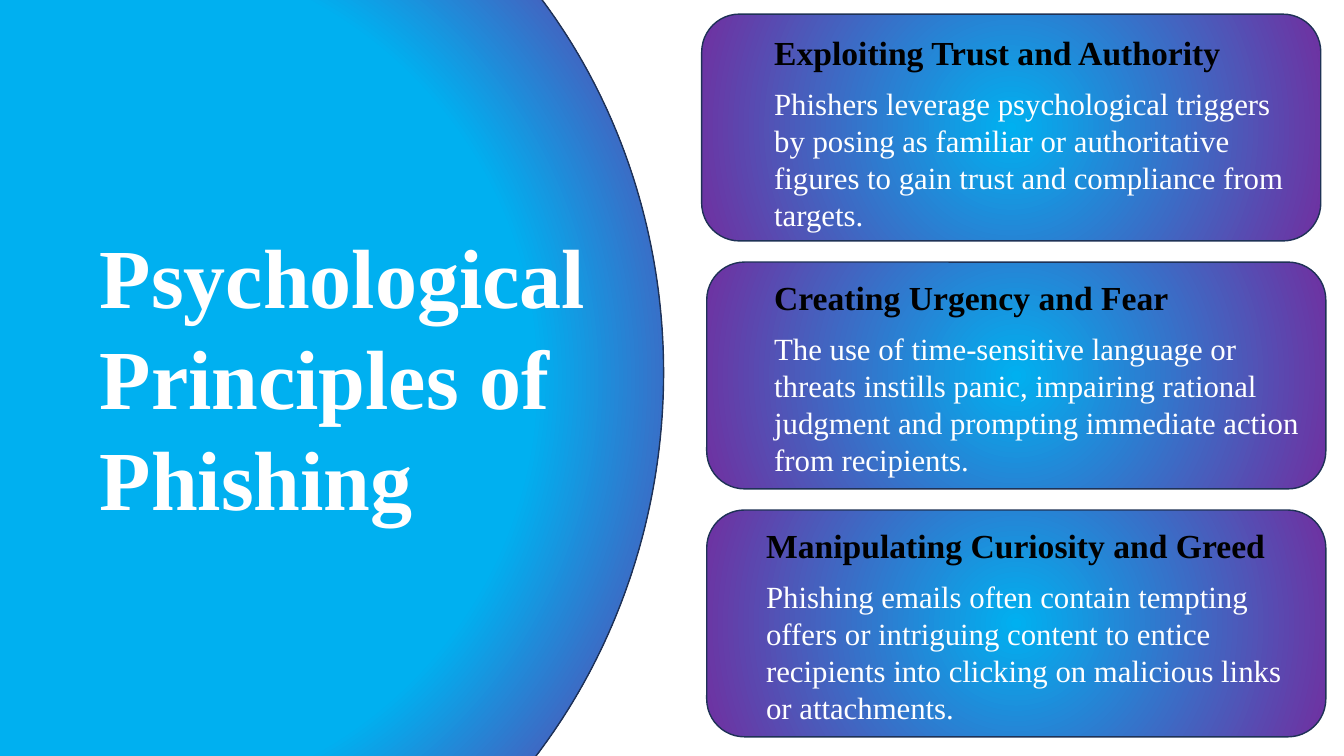
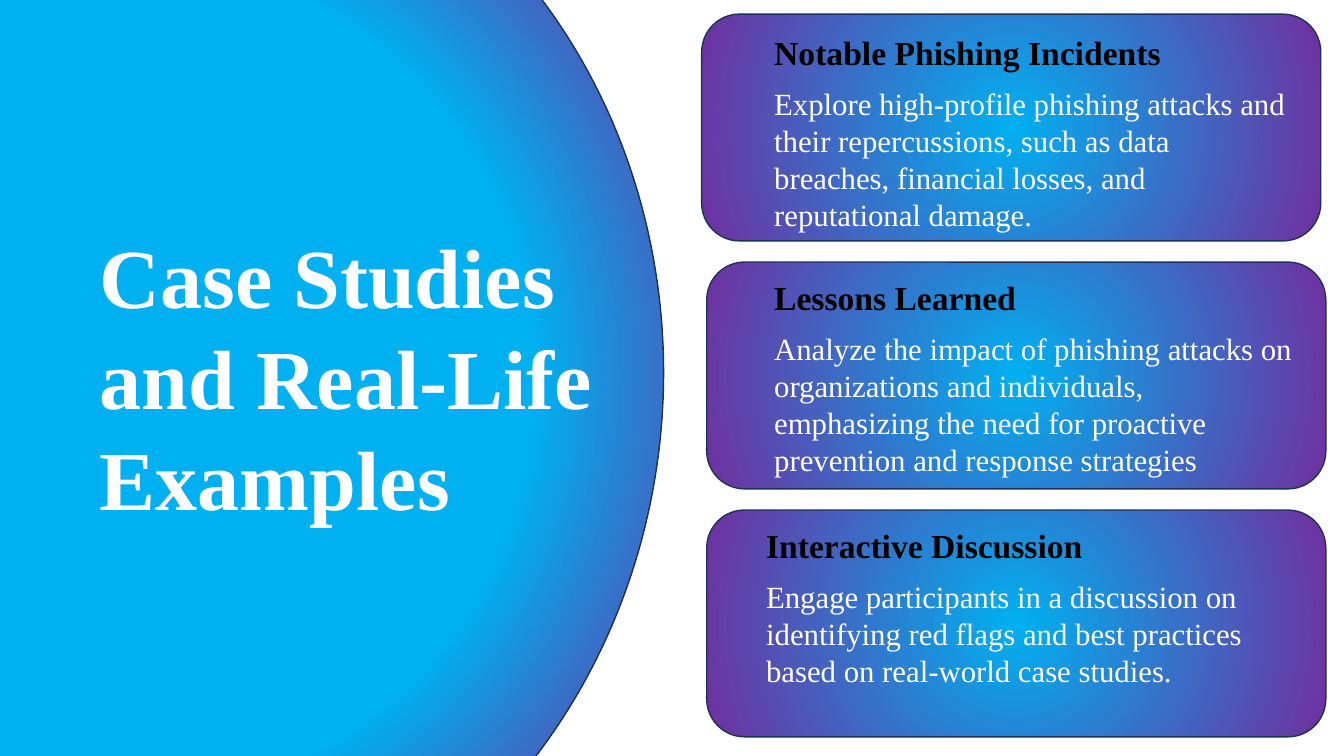
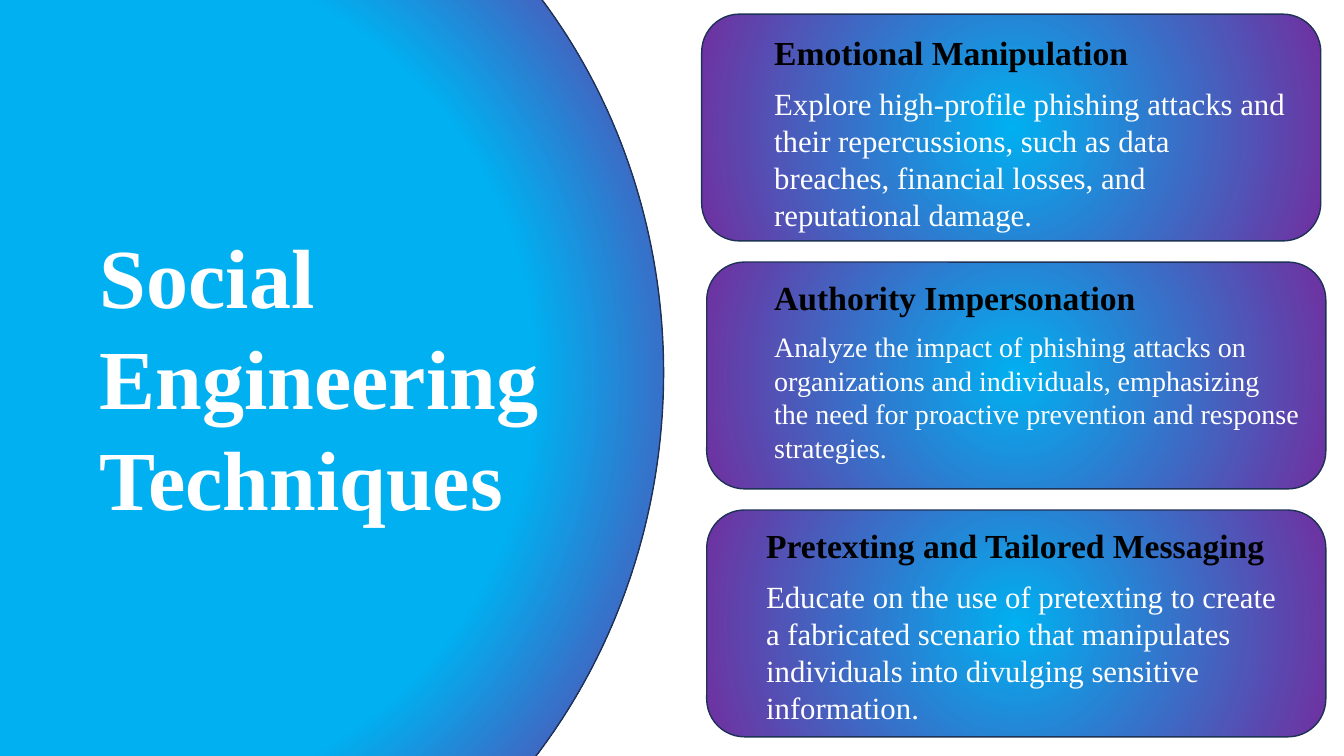
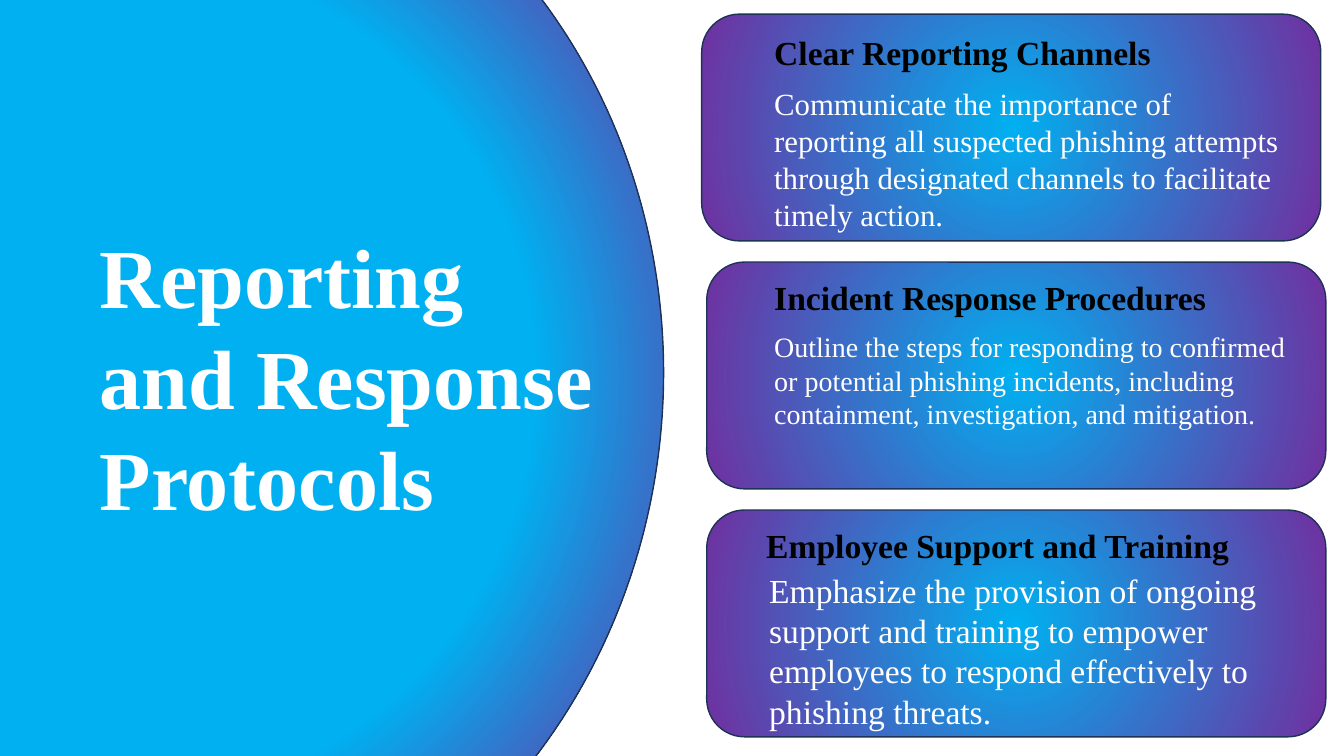
from lxml import etree
from pptx import Presentation
from pptx import util as u
from pptx.dml.color import RGBColor
from pptx.enum import shapes, text
from pptx.oxml import ns

SKY = RGBColor(0x00, 0xB0, 0xF0)
PURPLE = RGBColor(0x70, 0x30, 0xA0)
NAVY = RGBColor(0x1E, 0x32, 0x56)
WHITE = RGBColor(0xFF, 0xFF, 0xFF)
BLACK = RGBColor(0x00, 0x00, 0x00)
FONT = "Times New Roman"

# Card geometry: (card left, text left, heading top, heading width, body width)
CARD_TOP, CARD_STEP, CARD_WIDTH, CARD_HEIGHT = 0.14, 2.46, 6.14, 2.25
HEADING_HEIGHT, BODY_OFFSET = 0.5, 0.52
CARDS = [
    (6.96, 7.58, 0.27, 5.08, 5.28),
    (7.01, 7.58, 2.70, 4.61, 5.42),
    (7.01, 7.50, 5.16, 5.32, 5.32),
]

# Slide title, then heading, body and body size for each card
TOPICS = [
    ("Psychological Principles of Phishing", [
        ("Exploiting Trust and Authority",
         "Phishers leverage psychological triggers by posing as familiar or "
         "authoritative figures to gain trust and compliance from targets.", 22),
        ("Creating Urgency and Fear",
         "The use of time-sensitive language or threats instills panic, impairing "
         "rational judgment and prompting immediate action from recipients.", 22),
        ("Manipulating Curiosity and Greed",
         "Phishing emails often contain tempting offers or intriguing content to "
         "entice recipients into clicking on malicious links or attachments.", 22),
    ]),
    ("Case Studies and Real-Life Examples", [
        ("Notable Phishing Incidents",
         "Explore high-profile phishing attacks and their repercussions, such as "
         "data breaches, financial losses, and reputational damage.", 22),
        ("Lessons Learned",
         "Analyze the impact of phishing attacks on organizations and individuals, "
         "emphasizing the need for proactive prevention and response strategies", 22),
        ("Interactive Discussion",
         "Engage participants in a discussion on identifying red flags and best "
         "practices based on real-world case studies.", 22),
    ]),
    ("Social Engineering Techniques", [
        ("Emotional Manipulation",
         "Explore high-profile phishing attacks and their repercussions, such as "
         "data breaches, financial losses, and reputational damage.", 22),
        ("Authority Impersonation",
         "Analyze the impact of phishing attacks on organizations and individuals, "
         "emphasizing the need for proactive prevention and response strategies.", 20),
        ("Pretexting and Tailored Messaging",
         "Educate on the use of pretexting to create a fabricated scenario that "
         "manipulates individuals into divulging sensitive information.", 22),
    ]),
    ("Reporting and Response Protocols", [
        ("Clear Reporting Channels",
         "Communicate the importance of reporting all suspected phishing attempts "
         "through designated channels to facilitate timely action.", 22),
        ("Incident Response Procedures",
         "Outline the steps for responding to confirmed or potential phishing "
         "incidents, including containment, investigation, and mitigation.", 20),
        ("Employee Support and Training",
         "Emphasize the provision of ongoing support and training to empower "
         "employees to respond effectively to phishing threats.", 24),
    ]),
]


def write(box, words, size, color=WHITE, bold=False):
    """Fill a text box or placeholder with one left-aligned paragraph."""
    frame = box.text_frame
    frame.word_wrap = True
    frame.auto_size = text.MSO_AUTO_SIZE.SHAPE_TO_FIT_TEXT
    frame.vertical_anchor = text.MSO_ANCHOR.TOP
    paragraph = frame.paragraphs[0]
    paragraph.text = words
    paragraph.alignment = text.PP_ALIGN.LEFT
    font = paragraph.runs[0].font
    font.name, font.size, font.bold = FONT, u.Pt(size), bold
    font.color.rgb = color


def add_glow(slide, preset, box, inner=0.0, outer=1.0):
    """Add a shape whose colour runs from sky at the centre to purple."""
    shape = slide.shapes.add_shape(preset, *map(u.Inches, box))
    shape.shadow.inherit = False
    shape.line.color.rgb = NAVY
    shape.line.width = u.Pt(1)
    shape.fill.gradient()
    for stop, color, position in zip(shape.fill.gradient_stops, (SKY, PURPLE), (inner, outer)):
        stop.color.rgb = color
        stop.position = position
    # Turn the linear gradient into a radial one
    linear = shape._element.spPr.find(".//" + ns.qn("a:lin"))
    radial = etree.Element(ns.qn("a:path"), path="circle")
    etree.SubElement(radial, ns.qn("a:fillToRect"), l="50000", t="50000", r="50000", b="50000")
    linear.getparent().replace(linear, radial)
    return shape


prs = Presentation()
prs.slide_width, prs.slide_height = u.Inches(13.33), u.Inches(7.5)
title_only = prs.slide_layouts[5]

for topic, points in TOPICS:
    slide = prs.slides.add_slide(title_only)

    # Large disc behind the title
    disc = add_glow(slide, shapes.MSO_SHAPE.OVAL, (-4.43, -2.19, 11.01, 11.89), 0.49, 0.79)
    disc.rotation = 3.7
    slide.shapes._spTree.insert(2, disc._element)

    # Title
    title = slide.shapes.title
    title.left, title.top, title.width, title.height = map(u.Inches, (0.89, 2.18, 5.11, 3.13))
    write(title, topic, 60, bold=True)

    # Cards with heading and body
    for row, (card, point) in enumerate(zip(CARDS, points)):
        card_left, text_left, heading_top, heading_width, body_width = card
        heading, body, body_size = point
        add_glow(slide, shapes.MSO_SHAPE.ROUNDED_RECTANGLE,
                 (card_left, CARD_TOP + row * CARD_STEP, CARD_WIDTH, CARD_HEIGHT))

        heading_box = slide.shapes.add_textbox(
            *map(u.Inches, (text_left, heading_top, heading_width, HEADING_HEIGHT)))
        write(heading_box, heading, 24, BLACK, bold=True)

        # The largest body size starts slightly higher and further right
        shift_x, shift_y = (0.03, -0.08) if body_size == 24 else (0, 0)
        body_box = slide.shapes.add_textbox(
            *map(u.Inches, (text_left + shift_x, heading_top + BODY_OFFSET + shift_y,
                            body_width, 1.58)))
        write(body_box, body, body_size)

prs.save("out.pptx")
